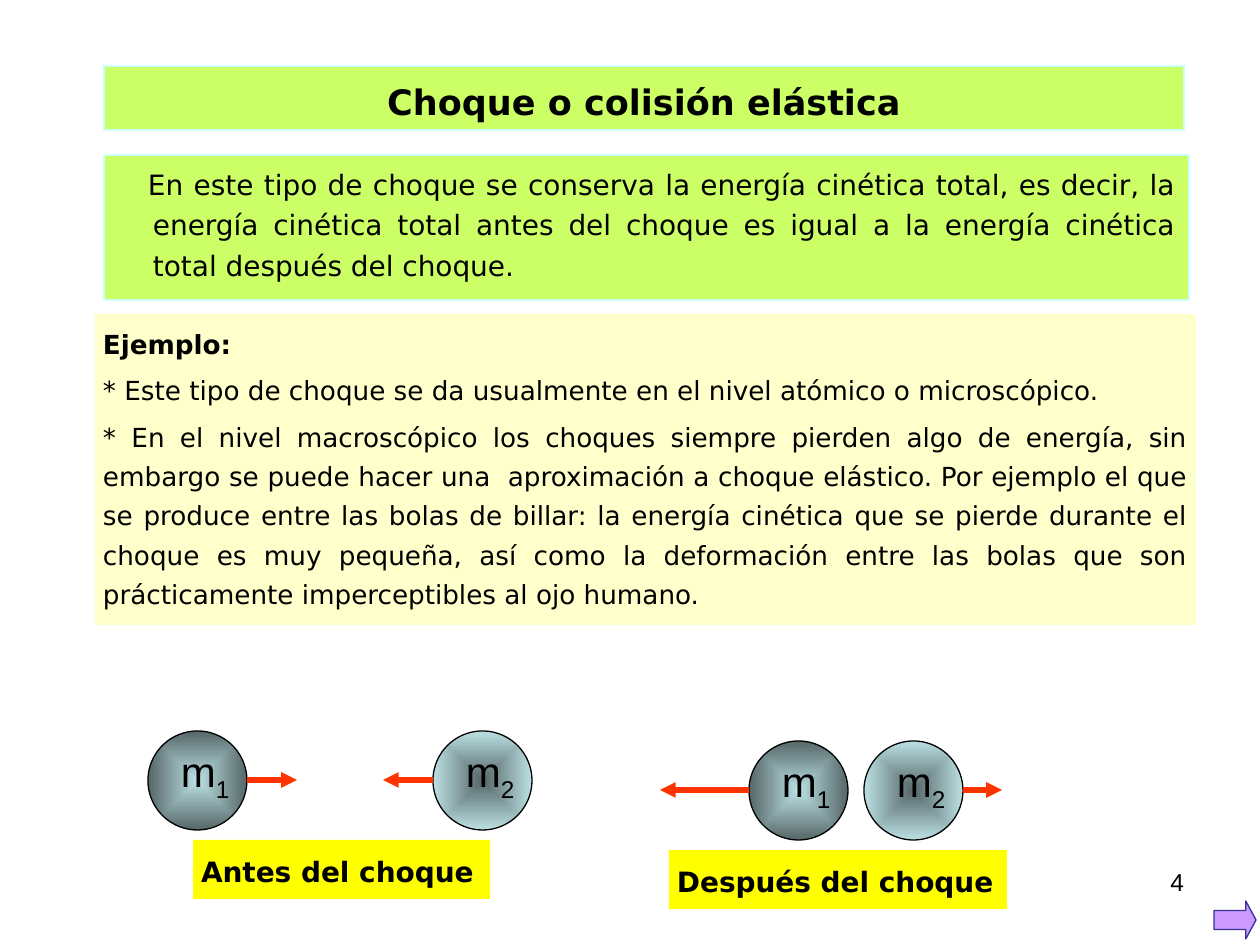
from dataclasses import dataclass
from lxml.etree import SubElement
from pptx import Presentation
from pptx.dml.color import RGBColor
from pptx.enum.shapes import MSO_CONNECTOR, MSO_SHAPE
from pptx.enum.text import MSO_ANCHOR, PP_ALIGN
from pptx.oxml.ns import qn
from pptx.util import Emu, Pt


@dataclass(frozen=True)
class Theme:
    black: str = "000000"
    lime: str = "CCFF66"
    edge: str = "CCFFFF"
    cream: str = "FFFFCC"
    yellow: str = "FFFF00"
    red: str = "FF3300"
    lilac: str = "CC99FF"
    navy: str = "333399"
    pale: str = "BBE0E3"
    dark: str = "566768"
    sans: str = "DejaVu Sans"
    arial: str = "Arial"
    title: int = 20
    body: int = 16
    note: int = 15
    mass: int = 24
    page: int = 14


T = Theme()

# Content
TITLE = "Choque o colisión elástica"
BODY = ("En este tipo de choque se conserva la energía cinética total, es decir, "
        "la energía cinética total antes del choque es igual a la energía cinética "
        "total después del choque.")
NOTES = [
    "Ejemplo:",
    "* Este tipo de choque se da usualmente en el nivel atómico o microscópico.",
    "* En el nivel macroscópico los choques siempre pierden algo de energía, sin "
    "embargo se puede hacer una  aproximación a choque elástico. Por ejemplo el "
    "que se produce entre las bolas de billar: la energía cinética que se pierde "
    "durante el choque es muy pequeña, así como la deformación entre las bolas que "
    "son prácticamente imperceptibles al ojo humano.",
]
# Balls: left, index, centre colour, rim colour, signed arrow length
SCENES = [
    {"top": 731, "text": "Antes del choque", "left": 193, "width": 297,
     "balls": [(148, "1", T.pale, T.dark, 50), (433, "2", T.dark, T.pale, -50)]},
    {"top": 741, "text": "Después del choque", "left": 669, "width": 338,
     "balls": [(749, "1", T.pale, T.dark, -89), (864, "2", T.dark, T.pale, 39)]},
]
BALL = 99
PAD = (13, 6, 13, 6)
TIGHT = (8, 11, 8, 11)


def px(n):
    return Emu(round(n * 914400 / 126))


def rgb(code):
    return RGBColor.from_string(code)


def shape(kind, box, fill=None, line=None):
    item = slide.shapes.add_shape(kind, *map(px, box))
    item.shadow.inherit = False
    if fill:
        item.fill.solid()
        item.fill.fore_color.rgb = rgb(fill)
    if line:
        item.line.color.rgb = rgb(line)
        item.line.width = Pt(0.75)
    else:
        item.line.fill.background()
    return item


def style(run, size, font=T.sans, bold=False):
    run.font.size = Pt(size)
    run.font.name = font
    run.font.bold = bold
    run.font.color.rgb = rgb(T.black)


def write(item, lines, size, font=T.sans, align=PP_ALIGN.JUSTIFY,
          bold=False, space=1.0, pad=PAD):
    frame = item.text_frame
    frame.word_wrap = True
    frame.vertical_anchor = MSO_ANCHOR.TOP
    (frame.margin_left, frame.margin_top,
     frame.margin_right, frame.margin_bottom) = map(px, pad)
    frame.text = "\n".join(lines)
    for para in frame.paragraphs:
        para.alignment = align
        para.line_spacing = space
        for run in para.runs:
            style(run, size, font, bold)
    return frame.paragraphs


def text(box, line, size, align):
    item = slide.shapes.add_textbox(*map(px, box))
    return write(item, [line], size, T.arial, align)[0]


def arrow(start, end, y):
    item = slide.shapes.add_connector(
        MSO_CONNECTOR.STRAIGHT, px(start), px(y), px(end), px(y))
    item.line.color.rgb = rgb(T.red)
    item.line.width = Pt(3)
    SubElement(item.line._get_or_add_ln(), qn("a:tailEnd"), type="triangle")
    SubElement(item._element.spPr, qn("a:effectLst"))


def glow(item, inner, outer):
    """Fill from the centre to the rim."""
    item.fill.gradient()
    for stop, code in zip(item.fill.gradient_stops, (inner, outer)):
        stop.color.rgb = rgb(code)
    grad = item._element.spPr.find(qn("a:gradFill"))
    grad.remove(grad.find(qn("a:lin")))
    way = SubElement(grad, qn("a:path"))
    way.set("path", "shape")
    SubElement(way, qn("a:fillToRect"), l="50000", t="50000", r="50000", b="50000")


def ball(left, top, index, inner, outer, reach):
    disc = shape(MSO_SHAPE.OVAL, (left, top, BALL, BALL), line=T.black)
    glow(disc, inner, outer)
    para = text((left + 20, top + 9, 89, 63), "m", T.mass, PP_ALIGN.LEFT)
    sub = para.add_run()
    sub.text = index
    style(sub, T.mass, T.arial)
    sub.font._element.set("baseline", "-25000")
    side = left + BALL if reach > 0 else left
    arrow(side, side + reach, top + BALL // 2)


deck = Presentation()
deck.slide_width, deck.slide_height = px(1260), px(945)
slide = deck.slides.add_slide(deck.slide_layouts[6])
RECT = MSO_SHAPE.RECTANGLE

# Definition
item = shape(RECT, (104, 155, 1085, 145), T.lime, T.edge)
para = write(item, [BODY], T.body, space=1.2)[0]
props = para._p.get_or_add_pPr()
props.set("marL", str(px(36)))
props.set("indent", str(px(-5)))

# Title
item = shape(RECT, (104, 66, 1080, 64), T.lime, T.edge)
write(item, [TITLE], T.title, align=PP_ALIGN.CENTER, bold=True, space=1.2)

# Examples
item = shape(RECT, (95, 314, 1101, 311), T.cream)
head, *rest = write(item, NOTES, T.note, space=1.25, pad=TIGHT)
head.line_spacing = 1.1
head.runs[0].font.bold = True
for para in rest:
    para.space_before = Pt(4)

# Before and after the collision
for scene in SCENES:
    top = scene["top"]
    for left, *look in scene["balls"]:
        ball(left, top, *look)
    item = shape(RECT, (scene["left"], top + 109, scene["width"], 59), T.yellow)
    write(item, [scene["text"]], T.body, bold=True, space=1.1, pad=TIGHT)

# Page number and forward arrow
text((903, 861, 294, 66), "4", T.page, PP_ALIGN.RIGHT)
item = shape(MSO_SHAPE.RIGHT_ARROW, (1214, 901, 42, 38), T.lilac, T.navy)
item.adjustments[1] = 0.27

deck.save("out.pptx")
